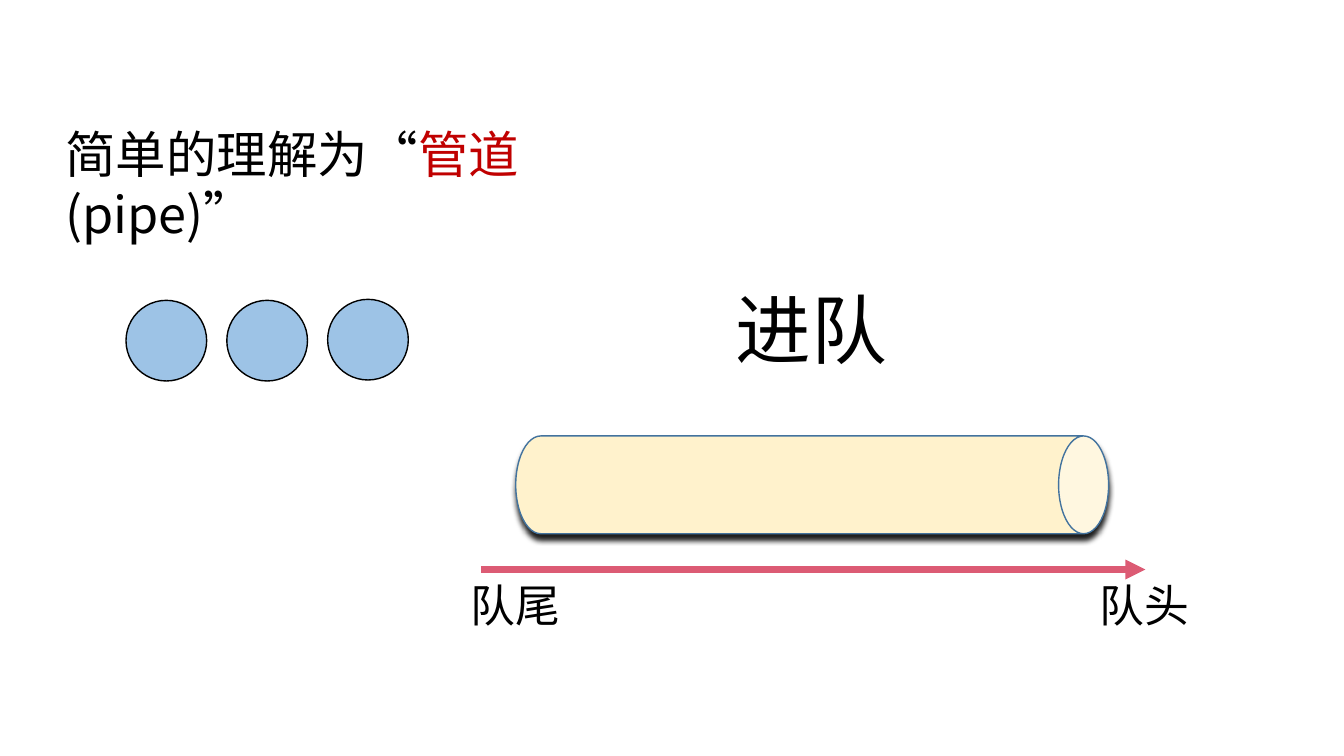
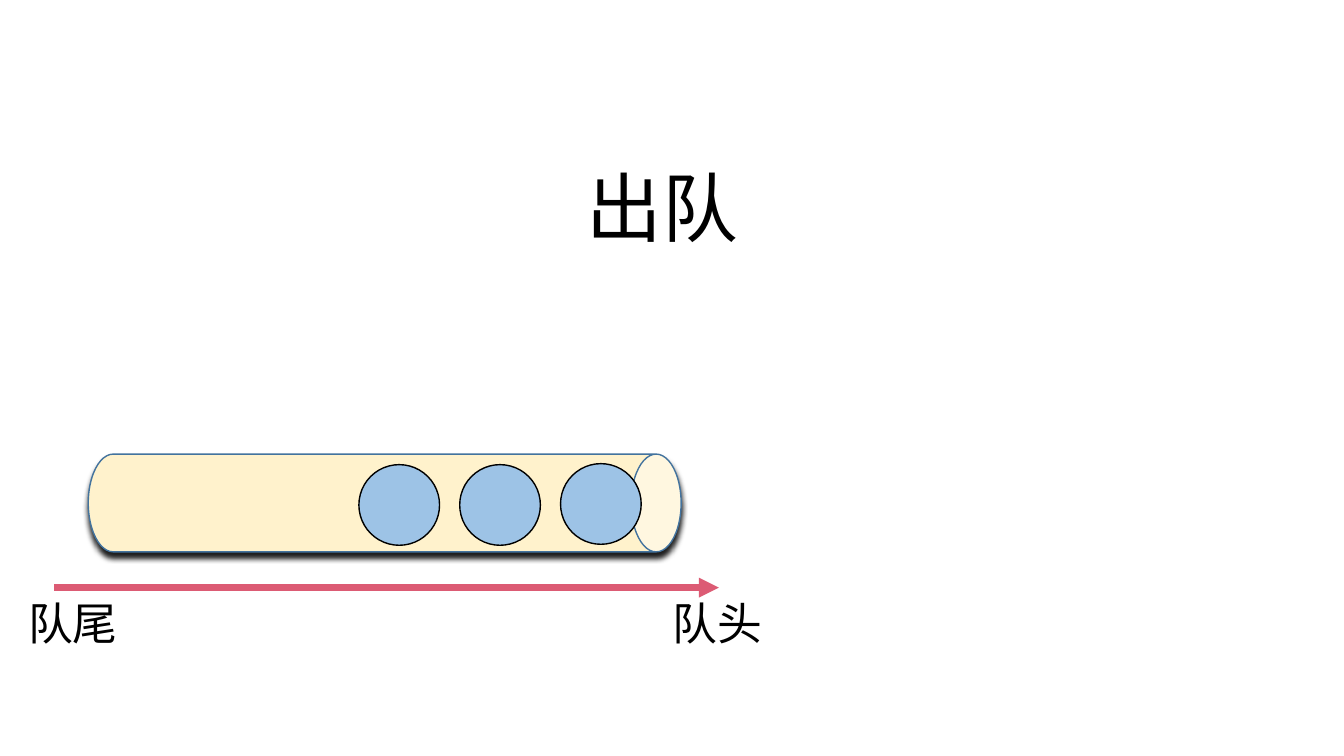
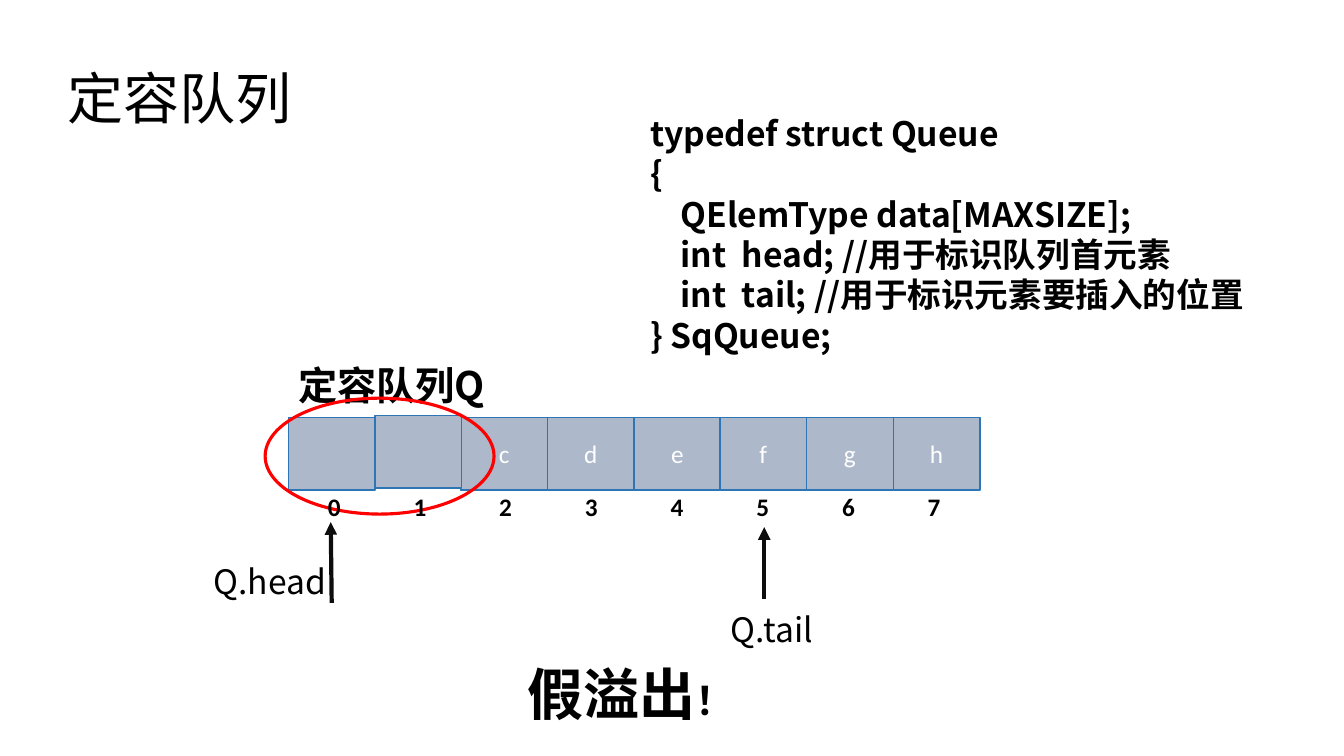
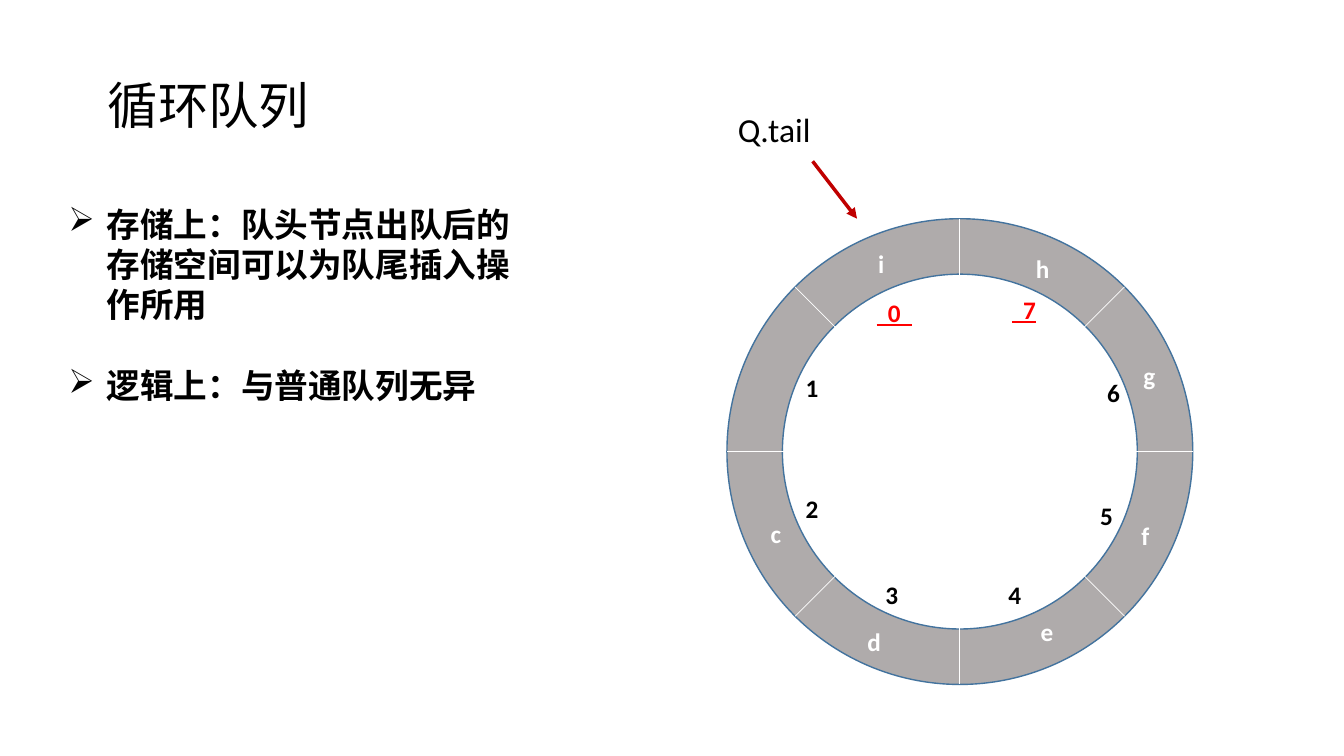
from dataclasses import dataclass
from itertools import product
from math import cos, radians, sin
from typing import NamedTuple

from lxml.etree import SubElement
from pptx import Presentation
from pptx.dml.color import RGBColor
from pptx.enum.shapes import MSO_CONNECTOR, MSO_SHAPE
from pptx.enum.text import MSO_ANCHOR, MSO_AUTO_SIZE, PP_ALIGN
from pptx.oxml.ns import qn
from pptx.util import Emu, Pt

PX = 9144  # EMU per px, 100 px to the inch


@dataclass(frozen=True)
class Theme:
    cjk: str = "Noto Sans CJK SC"
    latin: str = "Calibri"
    black: str = "000000"
    white: str = "FFFFFF"
    crimson: str = "C00000"
    red: str = "FF0000"
    outline: str = "43739E"
    ball: str = "9DC3E6"
    pipe: str = "FFF2CC"
    flow: str = "DC5B74"
    pointer: str = "0D0D0D"
    cell: str = "ADB9CA"
    cell_line: str = "2E75B6"
    ring: str = "AFABAB"
    banner: int = 54
    title: int = 40
    heading: int = 36
    end: int = 32
    caption: int = 28
    body: int = 24
    label: int = 18


T = Theme()


class Box(NamedTuple):
    x: int
    y: int
    w: int
    h: int


class Style(NamedTuple):
    size: int
    color: str = T.black
    bold: bool = False
    font: str = T.cjk
    underline: bool = False


class Tag(NamedTuple):
    """A short label centred in a small box."""
    text: str
    x: int
    y: int
    w: int = 33


class Run(NamedTuple):
    text: str
    style: Style


BANNER, HEADING, END = Style(T.banner), Style(T.heading), Style(T.end)
TITLE, BODY = Style(T.title), Style(T.body)
BOLD_BODY = Style(T.body, bold=True)
LETTER = Style(T.label, T.white, font=T.latin)
BOLD_LETTER = LETTER._replace(bold=True)
INDEX = BOLD_LETTER._replace(color=T.black)
RED_INDEX = INDEX._replace(color=T.red, underline=True)


def px(*values: float) -> list[Emu]:
    return [Emu(round(v * PX)) for v in values]


def rgb(color: str) -> RGBColor:
    return RGBColor.from_string(color)


def add_run(p, run: Run) -> None:
    r, st = p.add_run(), run.style
    r.text = run.text
    fmt = {"size": Pt(st.size), "bold": st.bold, "underline": st.underline, "name": st.font}
    for name, value in fmt.items():
        setattr(r.font, name, value)
    r.font.color.rgb = rgb(st.color)
    rPr = r.font._element
    rPr.set("lang", "zh-CN")
    SubElement(rPr, qn("a:ea"), typeface=st.font)


def text(s, box: Box, paragraphs: list[list[Run]], wrap: bool = False, align=PP_ALIGN.LEFT):
    tf = s.shapes.add_textbox(*px(*box)).text_frame
    tf.word_wrap, tf.auto_size = wrap, MSO_AUTO_SIZE.SHAPE_TO_FIT_TEXT
    for i, runs in enumerate(paragraphs):
        p = tf.add_paragraph() if i else tf.paragraphs[0]
        p.alignment = align
        for run in runs:
            add_run(p, run)
    return tf


def line_text(s, box: Box, words: str, style: Style, wrap: bool = False) -> None:
    text(s, box, [[Run(words, style)]], wrap)


def tag(s, t: Tag, style: Style) -> None:
    text(s, Box(t.x, t.y, t.w, 40), [[Run(t.text, style)]], align=PP_ALIGN.CENTER)


def shape(s, kind, box: Box, fill: str | None, line: str, width: float = 1):
    sp = s.shapes.add_shape(kind, *px(*box))
    sp.shadow.inherit = False
    if fill:
        sp.fill.solid()
        sp.fill.fore_color.rgb = rgb(fill)
    else:
        sp.fill.background()
    sp.line.color.rgb, sp.line.width = rgb(line), Pt(width)
    return sp


def line(s, x1: float, y1: float, x2: float, y2: float, color: str, width: float,
         arrow: bool = True) -> None:
    c = s.shapes.add_connector(MSO_CONNECTOR.STRAIGHT, *px(x1, y1, x2, y2))
    c.line.color.rgb, c.line.width = rgb(color), Pt(width)
    if arrow:
        SubElement(c.line._get_or_add_ln(), qn("a:tailEnd"), type="triangle")
    SubElement(c._element.spPr, qn("a:effectLst"))


def pipe(s, x: int, y: int) -> None:
    """A lying pipe with its left end at x and its top at y."""
    length, bore = 588, 97
    box = Box(x + (length - bore) // 2, y - (length - bore) // 2, bore, length)
    sp = shape(s, MSO_SHAPE.CAN, box, T.pipe, T.outline)
    sp.rotation = 90
    sp.adjustments[0] = 0.511
    effects = sp._element.spPr.find(qn("a:effectLst"))
    shadow = SubElement(effects, qn("a:outerShdw"), blurRad=str(Pt(4)), dist=str(Pt(4)),
                        dir="5400000", algn="t", rotWithShape="0")
    color = SubElement(shadow, qn("a:srgbClr"), val=T.black)
    SubElement(color, qn("a:alpha"), val="87000")


def balls(s, x: int, y: int) -> None:
    for i in range(3):
        top = y - (1 if i == 2 else 0)
        shape(s, MSO_SHAPE.OVAL, Box(x + 100 * i, top, 80, 80), T.ball, T.black)


def flow(s, x: int, y: int, tail_x: int, head_x: int) -> None:
    """The arrow below a pipe, with its two ends named."""
    line(s, x, y, x + 659, y, T.flow, 4.75)
    for words, left in (("队尾", tail_x), ("队头", head_x)):
        line_text(s, Box(left, y + 3, 110, 64), words, END)


def enqueue(s) -> None:
    red = HEADING._replace(color=T.crimson)
    text(s, Box(55, 117, 639, 71),
         [[Run("简单的理解为“", HEADING), Run("管道", red), Run("(pipe)”", HEADING)]], wrap=True)
    pipe(s, 512, 432)
    flow(s, 477, 565, 457, 1081)
    line_text(s, Box(720, 276, 172, 101), "进队", BANNER)
    balls(s, 125, 298)


def dequeue(s) -> None:
    pipe(s, 88, 450)
    flow(s, 54, 583, 18, 657)
    line_text(s, Box(572, 155, 172, 101), "出队", BANNER)
    balls(s, 356, 461)


def fixed_queue(s) -> None:
    line_text(s, Box(57, 58, 245, 77), "定容队列", TITLE)

    # Pointers
    line_text(s, Box(202, 552, 163, 53), "Q.head", BODY, wrap=True)
    line(s, 329, 598, 328, 518, T.pointer, 3)
    line_text(s, Box(715, 599, 140, 50), "Q.tail", BODY, wrap=True)
    line(s, 758, 594, 758, 523, T.pointer, 3)

    # Cells, those with the full border last
    letters = {2: "c", 3: "d", 4: "e", 5: "f", 0: "", 1: "", 7: "h", 6: "g"}
    for i, letter in letters.items():
        top = 412 if i == 1 else 414
        sp = shape(s, MSO_SHAPE.RECTANGLE, Box(286 + round(85.7 * i), top, 86, 72),
                   T.cell, T.cell_line)
        if letter:
            tf = sp.text_frame
            tf.vertical_anchor = MSO_ANCHOR.MIDDLE
            tf.paragraphs[0].alignment = PP_ALIGN.CENTER
            add_run(tf.paragraphs[0], Run(letter, LETTER))
    line_text(s, Box(286, 354, 208, 57), "定容队列Q", Style(T.caption, bold=True), wrap=True)
    shape(s, MSO_SHAPE.OVAL, Box(263, 395, 227, 115), None, T.red, 2.25)
    for i in range(8):
        tag(s, Tag(str(i), 315 + 85 * i, 483), INDEX)

    # Declaration and conclusion
    code = [
        "typedef struct Queue",
        "{",
        "    QElemType data[MAXSIZE];",
        "    int  head; //用于标识队列首元素",
        "    int  tail; //用于标识元素要插入的位置",
        "} SqQueue;",
    ]
    text(s, Box(635, 107, 616, 252), [[Run(row, BOLD_BODY)] for row in code], wrap=True)
    text(s, Box(513, 649, 228, 77), [[Run("假溢出", Style(T.title, bold=True)),
                                      Run("！", Style(T.caption, bold=True))]])


def ring_queue(s) -> None:
    line_text(s, Box(97, 69, 222, 71), "循环队列", HEADING)

    # Bulleted points
    points = ["存储上：队头节点出队后的存储空间可以为队尾插入操作所用", "逻辑上：与普通队列无异"]
    tf = text(s, Box(58, 197, 461, 212), [[Run(row, BOLD_BODY)] for row in points], wrap=True)
    tf.paragraphs[1].space_before = Pt(29)
    for p in tf.paragraphs:
        pPr = p._p.get_or_add_pPr()
        pPr.set("marL", str(38 * PX))
        pPr.set("indent", str(-38 * PX))
        SubElement(pPr, qn("a:buChar"), char="➢")

    # Ring cut into eight
    cx, cy, outer, inner = 952, 448, 231, 176
    for radius, fill in ((outer, T.ring), (inner, T.white)):
        box = Box(cx - radius, cy - radius, 2 * radius, 2 * radius)
        shape(s, MSO_SHAPE.OVAL, box, fill, T.outline)
    for angle in range(0, 180, 45):
        dx, dy = outer * cos(radians(angle)), outer * sin(radians(angle))
        line(s, cx - dx, cy - dy, cx + dx, cy + dy, T.white, 0.5, arrow=False)

    # Slot numbers and stored letters
    tags = {
        RED_INDEX: [Tag("  0  ", 859, 290, 56), Tag("  7", 993, 287, 45)],
        INDEX: [Tag("1", 789, 364), Tag("2", 789, 484), Tag("3", 868, 570),
                Tag("4", 990, 570), Tag("5", 1081, 491), Tag("6", 1088, 369)],
        BOLD_LETTER: [Tag("c", 754, 509, 31), Tag("d", 850, 616, 34), Tag("e", 1022, 607),
                      Tag("f", 1122, 511, 28), Tag("g", 1124, 353, 32),
                      Tag("h", 1017, 246, 34), Tag("i", 861, 241, 26)],
    }
    for style, group in tags.items():
        for style_, t in product([style], group):
            tag(s, t, style_)

    # Tail pointer
    line(s, 806, 160, 850, 217, T.crimson, 2.5)
    line_text(s, Box(722, 103, 93, 50), "Q.tail", BODY._replace(font=T.latin))


def main() -> None:
    prs = Presentation()
    prs.slide_width, prs.slide_height = px(1333, 750)
    for build in (enqueue, dequeue, fixed_queue, ring_queue):
        s = prs.slides.add_slide(prs.slide_layouts[6])
        s.background.fill.solid()
        s.background.fill.fore_color.rgb = rgb(T.white)
        build(s)
    prs.save("out.pptx")


if __name__ == "__main__":
    main()
